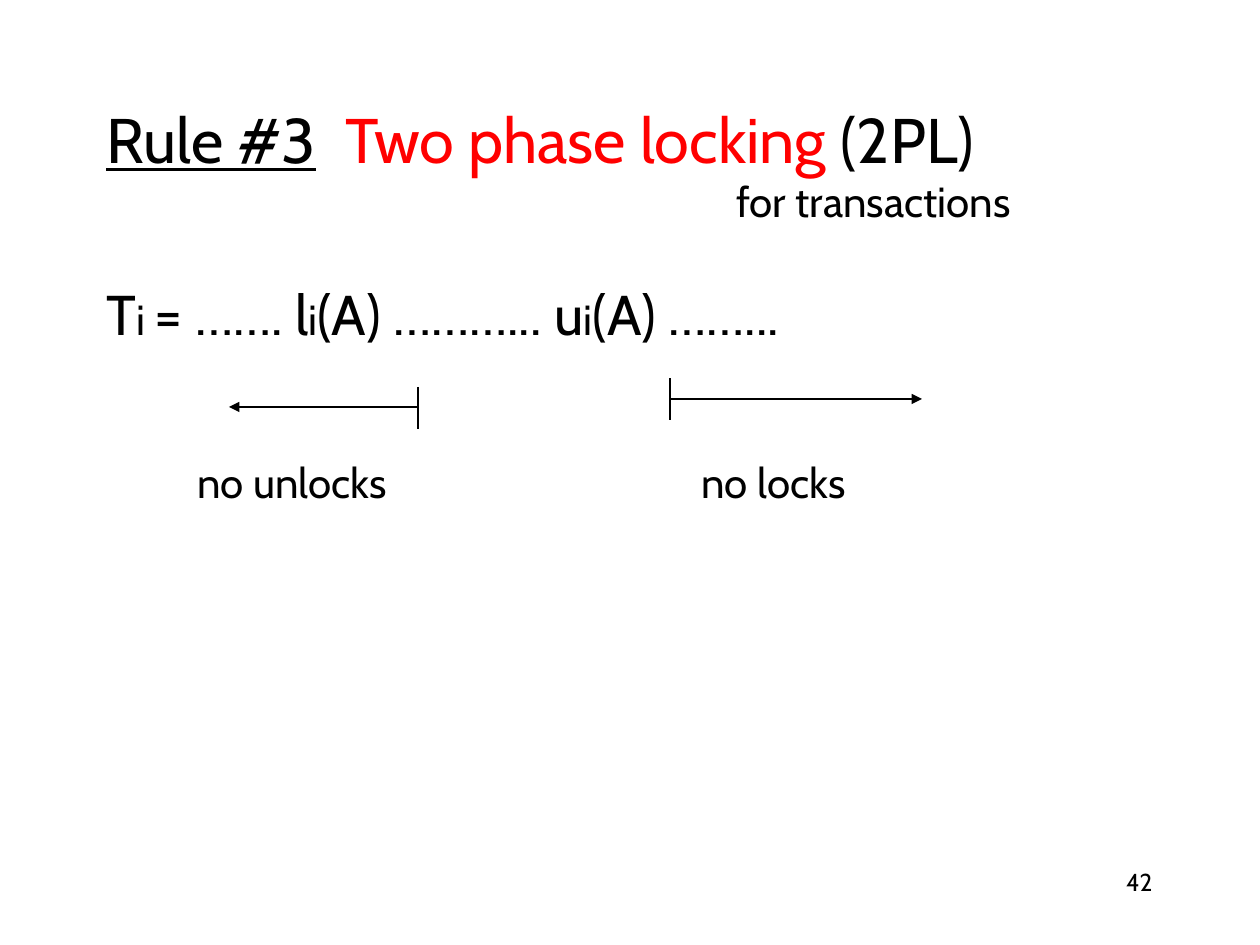
from lxml import etree
from pptx import Presentation, util as u
from pptx.dml.color import RGBColor
from pptx.enum import shapes, text
from pptx.oxml.ns import qn

PX = u.Inches(1) / 126
BLACK, RED = "000000", "FF0000"


def px(*lengths):
    return [u.Emu(round(n * PX)) for n in lengths]


def write(box, lines, anchor=text.MSO_ANCHOR.TOP, align=text.PP_ALIGN.LEFT):
    """Fill a new text box; a line is (tab stop in px, runs of (text, size, colour))."""
    tf = s.shapes.add_textbox(*px(*box)).text_frame
    tf.word_wrap = True
    tf.vertical_anchor = anchor
    for i, (stop, runs) in enumerate(lines):
        p = tf.add_paragraph() if i else tf.paragraphs[0]
        p.alignment = align
        if stop:
            tabs = etree.SubElement(p._p.get_or_add_pPr(), qn("a:tabLst"))
            etree.SubElement(tabs, qn("a:tab"), pos=str(px(stop)[0]), algn="l")
        p.font.name = "Cabin"
        for words, size, colour in runs:
            r = p.add_run()
            r.text = words
            r.font.size = u.Pt(size)
            r.font.color.rgb = RGBColor.from_string(colour)
    return tf


prs = Presentation()
prs.slide_width, prs.slide_height = px(1260, 945)
s = prs.slides.add_slide(prs.slide_layouts[6])

title = write((94, 84, 1071, 158), [
    (239, [("Rule #3", 36, BLACK), ("\t", 36, BLACK),
           ("Two phase locking", 36, RED), (" (2PL)", 36, BLACK)]),
    (630, [("\tfor transactions", 24, BLACK)]),
], text.MSO_ANCHOR.MIDDLE)
title.paragraphs[0].runs[0].font.underline = True

schedule = [("T", 32), ("i ", 24), ("= ……. l", 32), ("i", 24),
            ("(A) ………... u", 32), ("i", 24), ("(A) ……...", 32)]
write((94, 273, 1071, 567), [(0, [(words, size, BLACK) for words, size in schedule])])

# Each phase: a bar at x and an arrow from it to the tip
for x, y, tip, bar_top in [(418, 407, 229, 387), (670, 399, 922, 378)]:
    for ends, arrow in [((x, y, tip, y), True), ((x, bar_top, x, bar_top + 42), False)]:
        line = s.shapes.add_connector(shapes.MSO_CONNECTOR.STRAIGHT, *px(*ends))
        line.line.color.rgb = RGBColor.from_string(BLACK)
        line.line.width = u.Pt(0.75)
        if arrow:
            etree.SubElement(line.line._get_or_add_ln(), qn("a:tailEnd"), type="triangle")
        etree.SubElement(line._element.spPr, qn("a:effectLst"))

write((185, 450, 690, 63), [(504, [("no unlocks\tno locks", 24, BLACK)])],
      text.MSO_ANCHOR.MIDDLE)
write((903, 861, 262, 63), [(0, [("42", 14, BLACK)])], align=text.PP_ALIGN.RIGHT)

prs.save("out.pptx")
